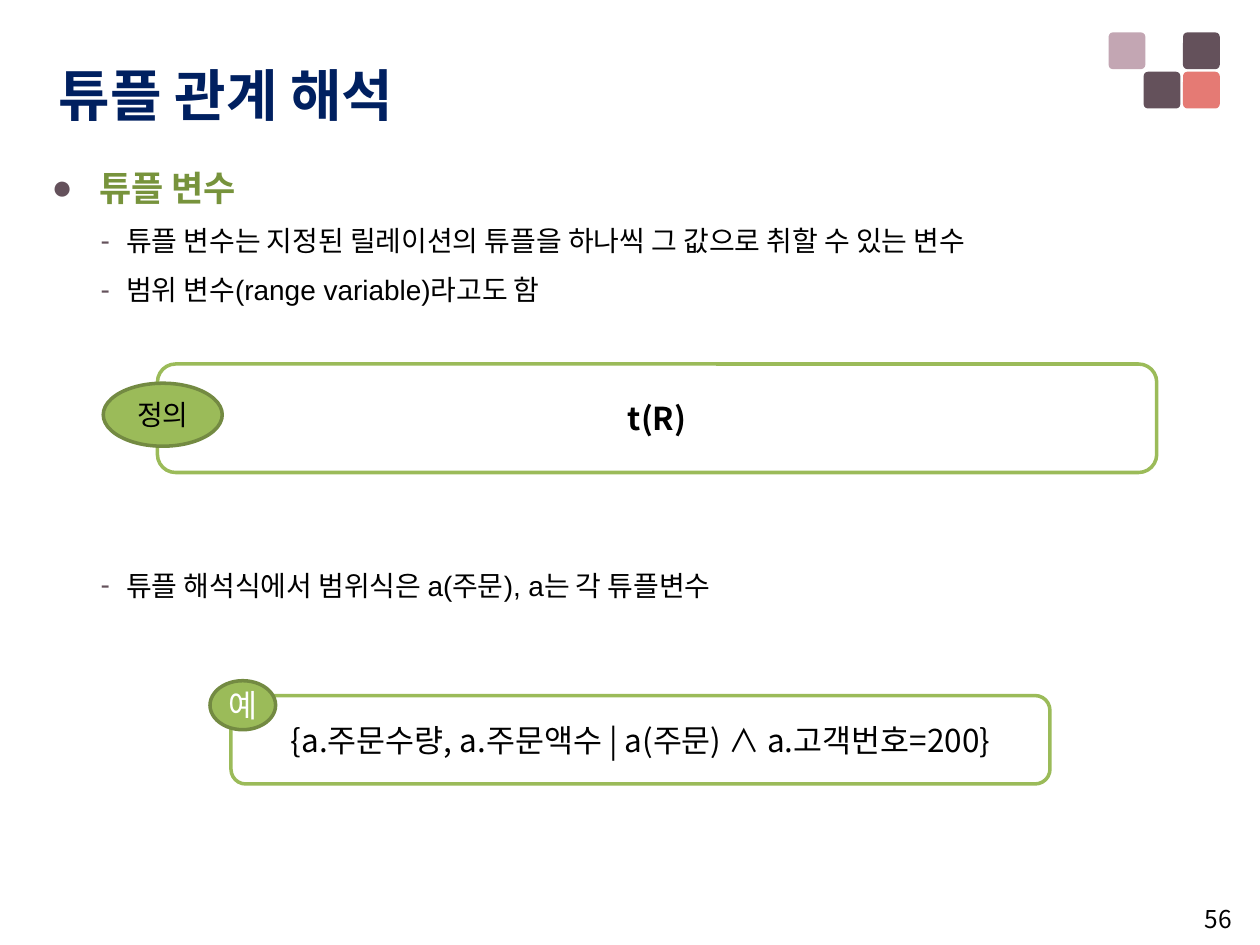
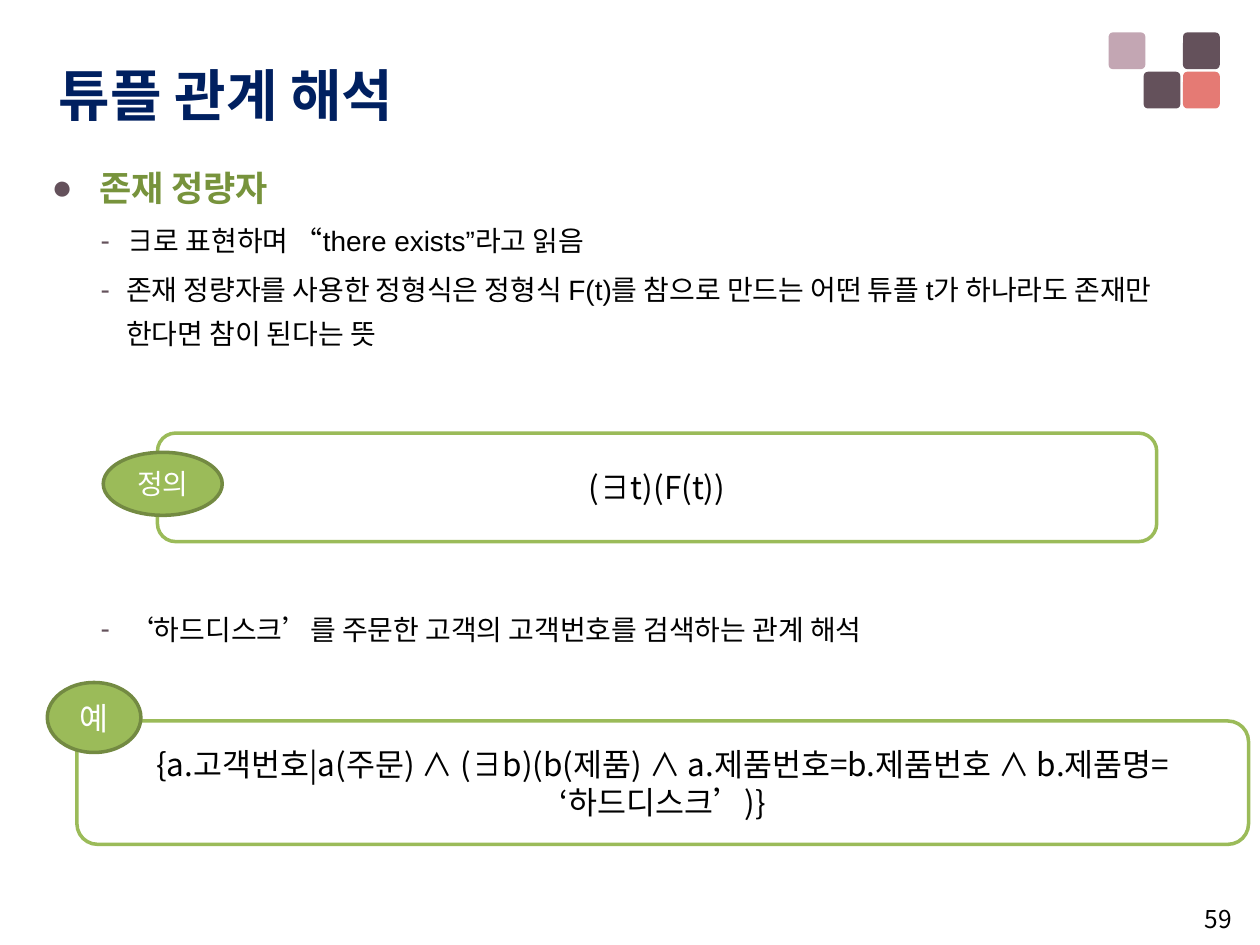
from lxml import etree
from pptx import Presentation
from pptx.dml.color import RGBColor
from pptx.enum import shapes, text
from pptx.oxml.ns import qn
from pptx.util import Pt

COLORS = {
    "plum": "64515B", "coral": "E57A74", "mauve": "C3A6B3",
    "navy": "002060", "olive": "77933C", "green": "9BBB59",
    "moss": "738A42", "black": "000000", "white": "FFFFFF",
}
LATIN, KOREAN = "Arial", "Noto Sans CJK KR"
SHAPE, ALIGN, ANCHOR = shapes.MSO_SHAPE, text.PP_ALIGN, text.MSO_ANCHOR

# Text levels: paragraph format, font format, colour, bullet, indent, hanging
HEADING = ({"line_spacing": Pt(31.5)}, {"size": Pt(20), "bold": True},
           "olive", "●", 27, 27)
DETAIL = ({"line_spacing": Pt(25), "space_before": Pt(3)}, {"size": Pt(16)},
          "black", "-", 42.5, 14.5)
CARD_GAP = 144

SLIDES = [
    {
        "page": "56",
        "heading": "튜플 변수",
        "details": ["튜플 변수는 지정된 릴레이션의 튜플을 하나씩 그 값으로 취할 수 있는 변수",
                    "범위 변수(range variable)라고도 함"],
        "example_intro": "튜플 해석식에서 범위식은 a(주문), a는 각 튜플변수",
        "cards": [
            {"box": (90, 208, 571, 62), "formula": "t(R)", "bold": True,
             "badge": (-31, 11, 68, 36), "label": "정의", "size": 16,
             "label_color": "black"},
            {"box": (132, 397.5, 468, 50.5),
             "formula": "{a.주문수량, a.주문액수 | a(주문) ∧ a.고객번호=200}",
             "badge": (-12, -8.5, 37.5, 28), "label": "예", "size": 18},
        ],
    },
    {
        "page": "59",
        "heading": "존재 정량자",
        "details": ["∃로 표현하며 “there exists”라고 읽음",
                    "존재 정량자를 사용한 정형식은 정형식 F(t)를 참으로 만드는 "
                    "어떤 튜플 t가 하나라도 존재만 한다면 참이 된다는 뜻"],
        "example_intro": "‘하드디스크’를 주문한 고객의 고객번호를 검색하는 관계 해석",
        "cards": [
            {"box": (90, 247.5, 571, 62), "formula": "(∃t)(F(t))",
             "badge": (-31, 11, 68, 36), "label": "정의", "size": 16},
            {"box": (44, 412, 669.5, 70.5),
             "formula": "{a.고객번호|a(주문) ∧ (∃b)(b(제품) ∧ a.제품번호=b.제품번호 ∧ "
                        "b.제품명= ‘하드디스크’)}",
             "badge": (-17, -22, 53.5, 40), "label": "예", "size": 18},
        ],
    },
]


def rgb(name):
    return RGBColor.from_string(COLORS[name])


def apply(target, values):
    for attribute, value in values.items():
        setattr(target, attribute, value)


def write(paragraph, words, color, font, name=KOREAN):
    """Add one run with its Latin and East Asian fonts."""
    run = paragraph.add_run()
    run.text = words
    apply(run.font, {"name": name, **font})
    run.font.color.rgb = rgb(color)
    east_asian = etree.SubElement(run.font._element, qn("a:ea"))
    east_asian.set("typeface", KOREAN)


def add_frame(slide, box, **values):
    frame = slide.shapes.add_textbox(*map(Pt, box)).text_frame
    apply(frame, {"word_wrap": True, **values})
    return frame


def add_block(slide, kind, box, fill=None, line=None):
    block = slide.shapes.add_shape(kind, *map(Pt, box))
    block.shadow.inherit = False
    if fill:
        block.fill.solid()
        block.fill.fore_color.rgb = rgb(fill)
    else:
        block.fill.background()
    if line:
        block.line.color.rgb = rgb(line)
        block.line.width = Pt(2)
    else:
        block.line.fill.background()
    return block


def add_centered(block, words, color, **font):
    block.text_frame.vertical_anchor = ANCHOR.MIDDLE
    paragraph = block.text_frame.paragraphs[0]
    paragraph.alignment = ALIGN.CENTER
    write(paragraph, words, color, font)


def add_corner_tiles(slide, left, top):
    side = 21
    for x, y, color in [(42.5, 0, "plum"), (20, 22.5, "plum"),
                        (42.5, 22.5, "coral"), (0, 0, "mauve")]:
        tile = add_block(slide, SHAPE.ROUNDED_RECTANGLE,
                         (left + x, top + y, side, side), color)
        tile.adjustments[0] = 0.12


def add_bullet(paragraph, mark, indent, hanging):
    properties = paragraph._p.get_or_add_pPr()
    properties.set("marL", str(Pt(indent)))
    properties.set("indent", str(-Pt(hanging)))
    color = etree.SubElement(properties, qn("a:buClr"))
    etree.SubElement(color, qn("a:srgbClr")).set("val", COLORS["plum"])
    etree.SubElement(properties, qn("a:buFont")).set("typeface", LATIN)
    etree.SubElement(properties, qn("a:buChar")).set("char", mark)


def add_outline(slide, box, content):
    """Heading, its details, and the example's introduction below the first card."""
    frame = add_frame(slide, box)
    details = [*content["details"], content["example_intro"]]
    rows = [(content["heading"], HEADING)] + [(words, DETAIL) for words in details]
    for number, (words, level) in enumerate(rows):
        paragraph = frame.add_paragraph() if number else frame.paragraphs[0]
        layout, font, color, mark, indent, hanging = level
        add_bullet(paragraph, mark, indent, hanging)
        apply(paragraph, layout)
        write(paragraph, words, color, font, LATIN)
    paragraph.space_before = Pt(CARD_GAP)


def add_card(slide, card):
    """Outlined formula box with an oval badge on its left edge."""
    left, top = card["box"][:2]
    formula = add_block(slide, SHAPE.ROUNDED_RECTANGLE, card["box"], line="green")
    add_centered(formula, card["formula"], "black", size=Pt(18),
                 bold=card.get("bold", False))
    x, y, width, height = card["badge"]
    badge = add_block(slide, SHAPE.OVAL, (left + x, top + y, width, height),
                      "green", "moss")
    apply(badge.text_frame, {"word_wrap": False, "margin_left": 0, "margin_right": 0,
                             "margin_top": 0, "margin_bottom": 0})
    add_centered(badge, card["label"], card.get("label_color", "white"),
                 size=Pt(card["size"]))


def add_page_number(slide, box, page):
    paragraph = add_frame(slide, box).paragraphs[0]
    paragraph.alignment = ALIGN.RIGHT
    write(paragraph, page, "black", {"size": Pt(14)})


def add_title(slide, box, title):
    frame = add_frame(slide, box, vertical_anchor=ANCHOR.BOTTOM)
    write(frame.paragraphs[0], title, "navy", {"size": Pt(32), "bold": True}, LATIN)


def add_content_slide(deck, content):
    slide = deck.slides.add_slide(deck.slide_layouts[6])
    add_corner_tiles(slide, 633.5, 18.5)
    add_block(slide, SHAPE.RECTANGLE, (22.5, 78, 697.5, 444), "white")
    add_outline(slide, (22.5, 84, 687, 426), content)
    add_page_number(slide, (543, 513, 168, 18), content["page"])
    for card in content["cards"]:
        add_card(slide, card)
    add_title(slide, (26.5, 43.5, 587.5, 33), "튜플 관계 해석")


def main():
    deck = Presentation()
    deck.slide_width, deck.slide_height = Pt(720), Pt(540)
    for content in SLIDES:
        add_content_slide(deck, content)
    deck.save("out.pptx")


if __name__ == "__main__":
    main()
